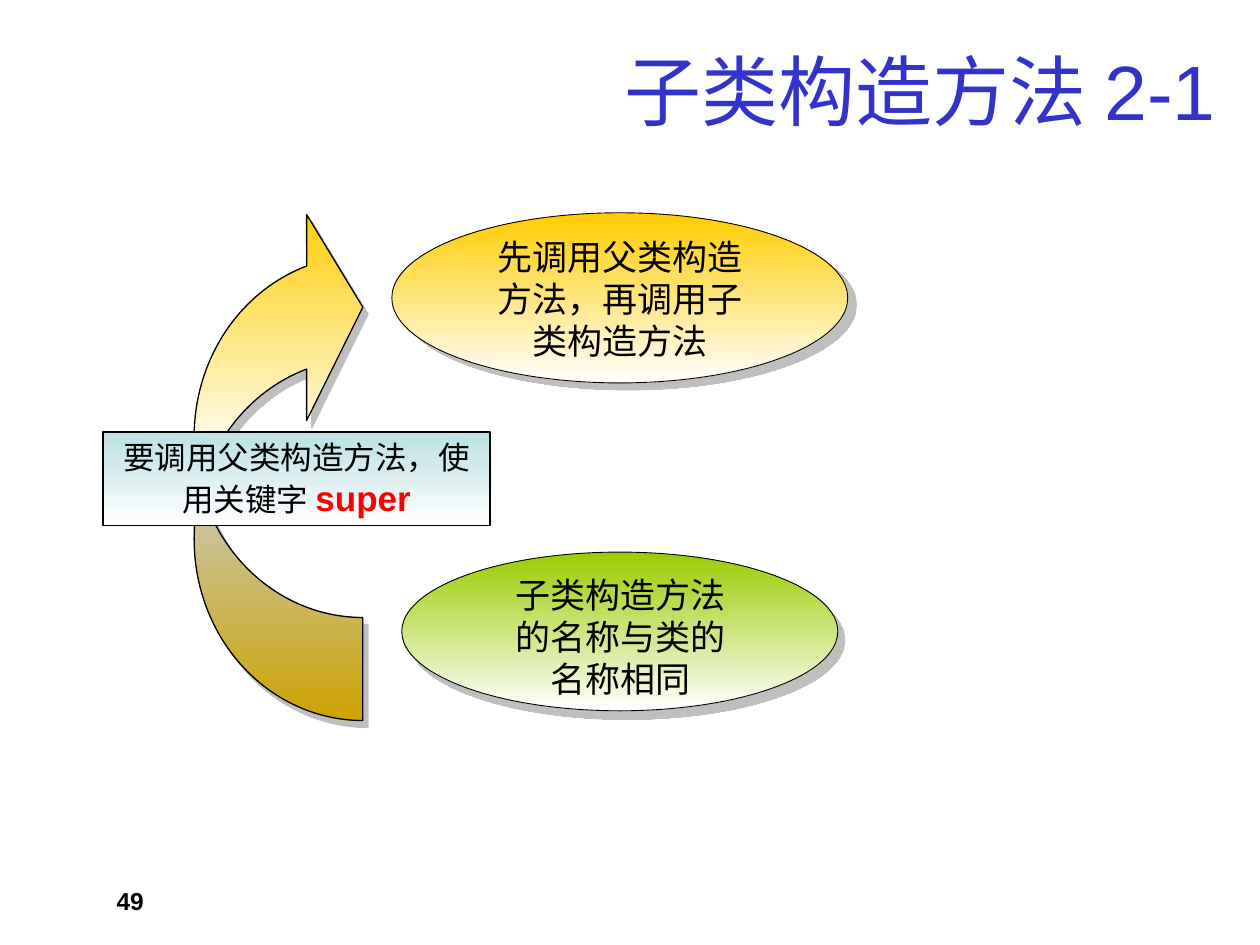
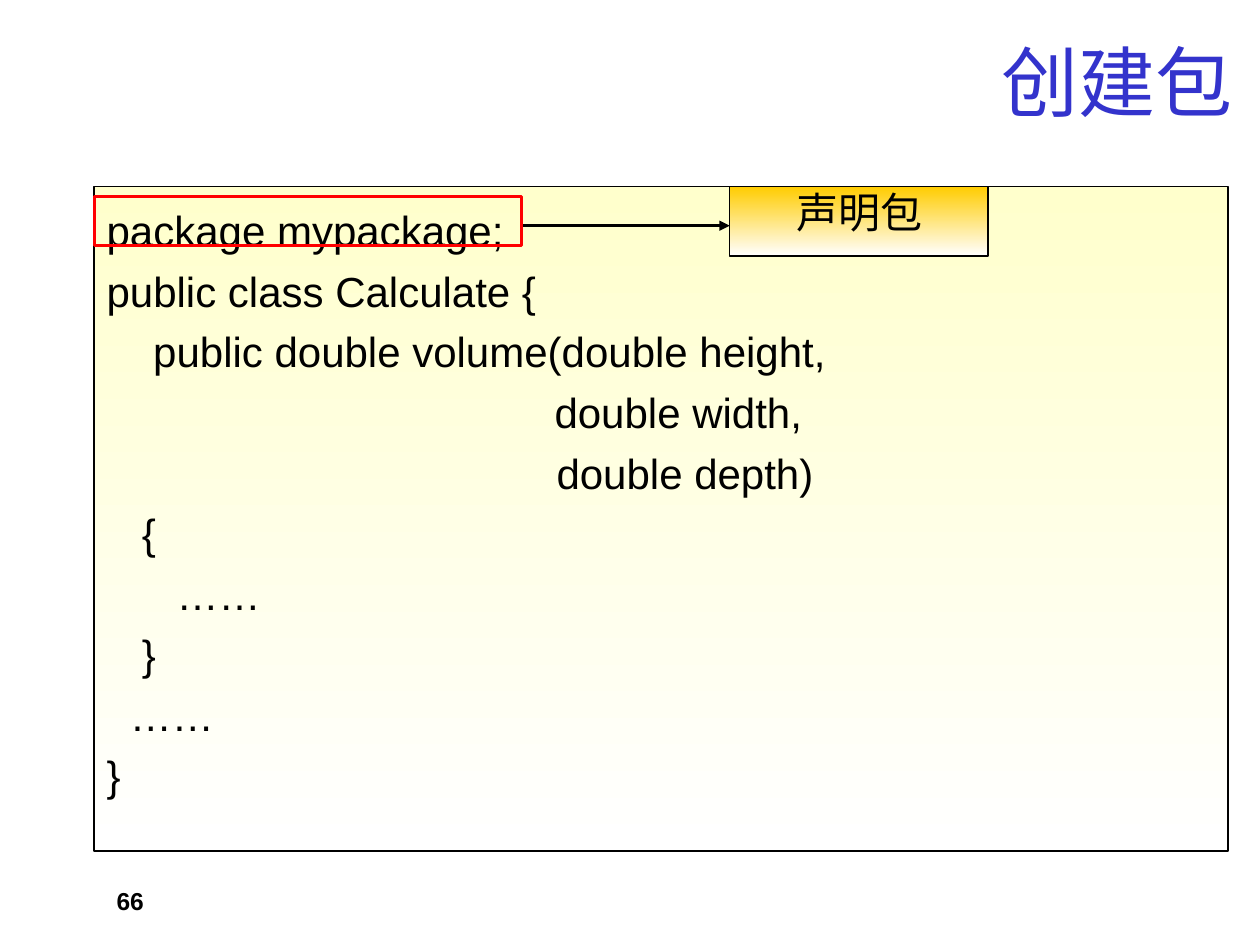
from copy import deepcopy
from dataclasses import dataclass

from pptx import Presentation
from pptx import util as u
from pptx.dml.color import RGBColor
from pptx.enum import shapes, text
from pptx.oxml import ns
from pptx.oxml import parse_xml

KIND = shapes.MSO_SHAPE
LEFT, MID, RIGHT = text.PP_ALIGN.LEFT, text.PP_ALIGN.CENTER, text.PP_ALIGN.RIGHT


@dataclass(frozen=True)
class Theme:
    """Colours, fonts and type sizes of the deck."""
    ink: str = "000000"
    blue: str = "3333CC"
    red: str = "FF0000"
    gold: str = "FFCC00"
    green: str = "99CC00"
    teal: str = "BBE0E3"
    cream: str = "FFFFCC"
    white: str = "FFFFFF"
    shade: str = "808080"
    face: str = "Arial"
    mono: str = "Courier New"
    head: int = 44
    code: int = 24
    body: int = 20
    note: int = 18
    foot: int = 14


T = Theme()


def cms(*vals):
    """Turn numbers into lengths in centimetres."""
    return [u.Cm(v) for v in vals]


def apply(obj, form):
    """Set attributes of an object from a dict."""
    for key, val in form.items():
        setattr(obj, key, val)


def write(frame, lines, align=LEFT, anchor=text.MSO_ANCHOR.TOP, gap=0, lead=None):
    """Fill a frame with lines, each an indent and a list of styled runs."""
    apply(frame, dict(word_wrap=True, auto_size=text.MSO_AUTO_SIZE.NONE,
                      vertical_anchor=anchor))
    for num, (dent, runs) in enumerate(lines):
        para = frame.add_paragraph() if num else frame.paragraphs[0]
        apply(para, dict(alignment=align, space_after=u.Pt(gap), line_spacing=lead))
        if dent:
            para._p.get_or_add_pPr().set("marL", str(u.Cm(dent)))
        for words, size, form in runs:
            run = para.add_run()
            run.text = words
            look = dict(name=T.face, size=u.Pt(size), bold=False, color=T.ink) | form
            run.font.color.rgb = RGBColor.from_string(look.pop("color"))
            apply(run.font, look)


def label(pool, box, words, size, align=LEFT, lead=None, **form):
    """Add a text box with one styled paragraph."""
    area = pool.add_textbox(*cms(*box))
    write(area.text_frame, [(0, [(words, size, form)])], align, lead=lead)


def blend(shape, tones, angle):
    """Give a shape an even gradient through the tones."""
    shape.fill.gradient()
    stops = shape._element.spPr.find(".//" + ns.qn("a:gsLst"))
    for _ in tones[2:]:
        stops.append(deepcopy(stops[0]))
    for num, (stop, tone) in enumerate(zip(shape.fill.gradient_stops, tones)):
        stop.color.rgb = RGBColor.from_string(tone)
        stop.position = num / (len(tones) - 1)
    shape.fill.gradient_angle = angle


def shade(shape, dist, angle):
    """Cast a half clear hard shadow."""
    glow = shape._element.spPr.find(ns.qn("a:effectLst"))
    glow.append(parse_xml(
        f'<a:outerShdw {ns.nsdecls("a")} blurRad="0" dist="{u.Pt(dist)}" '
        f'dir="{angle * 60000}" algn="ctr" rotWithShape="0"><a:srgbClr val="{T.shade}">'
        '<a:alpha val="50000"/></a:srgbClr></a:outerShdw>'))


def draw(pool, kind, box, tones=(), width=0.75, line=T.ink, angle=270, cast=None):
    """Add an outlined shape, with a gradient and a shadow if given."""
    shape = pool.add_shape(kind, *cms(*box))
    shape.shadow.inherit = False
    shape.line.color.rgb = RGBColor.from_string(line)
    shape.line.width = u.Pt(width)
    if tones:
        blend(shape, tones, angle)
    else:
        shape.fill.background()
    if cast:
        shade(shape, *cast)
    return shape


def badge(slide, kind, box, area, tone, words, size, lead=None, face=T.face, **look):
    """Group a tinted shape with its caption."""
    pool = slide.shapes.add_group_shape().shapes
    draw(pool, kind, box, (tone, T.white), **look)
    label(pool, area, words, size, MID, lead, name=face)


def arrow(slide, start, end):
    """Add a straight arrow."""
    line = slide.shapes.add_connector(shapes.MSO_CONNECTOR.STRAIGHT,
                                      *cms(*start, *end))
    line.line.color.rgb = RGBColor.from_string(T.ink)
    line.line.width = u.Pt(1.5)
    decl = ns.nsdecls("a")
    line.line._get_or_add_ln().append(parse_xml(f'<a:tailEnd {decl} type="triangle"/>'))
    line._element.spPr.append(parse_xml(f"<a:effectLst {decl}/>"))


def page(deck, title, left, top, number):
    """Add a slide with its title and page number."""
    slide = deck.slides.add_slide(deck.slide_layouts[5])
    head = slide.shapes.title
    apply(head, dict(zip(("left", "top", "width", "height"),
                         cms(left, top, 22.86, 2.21))))
    write(head.text_frame, [(0, [(title, T.head, dict(color=T.blue))])],
          RIGHT, text.MSO_ANCHOR.MIDDLE)
    label(slide.shapes, (2.1, 17.73, 5.92, 0.61), number, T.foot, bold=True)
    return slide


def build(deck):
    """Make the slide on subclass constructors."""
    slide = page(deck, "子类构造方法 2-1", 1.9, 0.71, "49")
    badge(slide, KIND.OVAL, (8.1, 11.13, 8.79, 3.2), (9.91, 11.43, 5.21, 2.79),
          T.green, "子类构造方法的名称与类的名称相同", T.body, width=0.5, cast=(6.4, 51))
    badge(slide, KIND.OVAL, (7.9, 4.29, 9.19, 3.43), (9.75, 4.62, 5.5, 2.79),
          T.gold, "先调用父类构造方法，再调用子类构造方法", T.body, width=0.5, cast=(6.4, 39))
    curve = draw(slide.shapes, KIND.CURVED_DOWN_ARROW, (0.41, 7.62, 10.41, 3.4),
                 (T.gold, T.white, T.gold), angle=0, cast=(5, 53))
    curve.rotation = 270
    for num, val in enumerate((0.611, 1.222, 0.333)):
        curve.adjustments[num] = val
    note = draw(slide.shapes, KIND.RECTANGLE, (2.08, 8.71, 7.8, 1.88),
                (T.teal, T.white))
    write(note.text_frame, [(0, [
        ("要调用父类构造方法，使用关键字 ", T.note, {}),
        ("super", T.body, dict(color=T.red, bold=True))])], MID)


def pack(deck):
    """Make the slide on creating a package."""
    slide = page(deck, "创建包", 2.24, 0.53, "66")
    code = draw(slide.shapes, KIND.RECTANGLE, (1.9, 3.76, 22.86, 13.39),
                (T.cream, T.white), width=1)
    lines = [(0, "package mypackage;"), (0, "public class Calculate {"),
             (0.94, "public double volume(double height,"),
             (9.03, "double width,"), (9.07, "double depth)"),
             (0.71, "{"), (1.41, "……"), (0.71, "}"), (0.47, "……"), (0, "}")]
    code.text_frame.margin_top = u.Cm(0.37)
    write(code.text_frame, [(dent, [(words, T.code, {})]) for dent, words in lines],
          gap=5.8)
    arrow(slide, (10.49, 4.55), (14.71, 4.55))
    draw(slide.shapes, KIND.RECTANGLE, (1.9, 3.96, 8.61, 0.99), width=1.5, line=T.red)
    badge(slide, KIND.RECTANGLE, (14.71, 3.76, 5.21, 1.4), (15.04, 3.76, 4.57, 1.17),
          T.gold, "声明包", T.code, 0.9, T.mono)


def main():
    """Build and save the deck."""
    deck = Presentation()
    deck.slide_width, deck.slide_height = cms(25.4, 19.05)
    build(deck)
    pack(deck)
    deck.save("out.pptx")


main()
